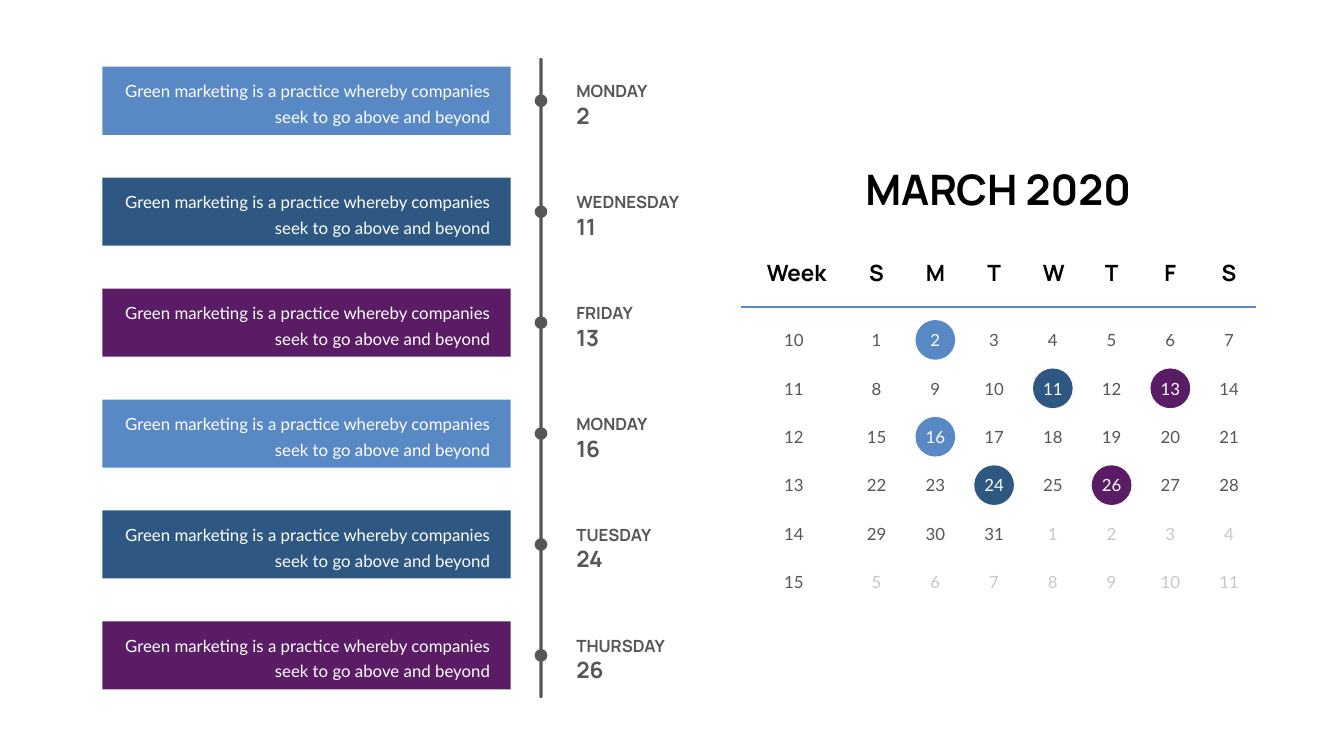
from dataclasses import dataclass

import pptx
import pptx.dml.color
import pptx.enum.shapes
import pptx.enum.text
import pptx.oxml.ns
import pptx.util
from lxml import etree
from pptx.util import Cm, Pt

SHAPE = pptx.enum.shapes.MSO_SHAPE
ALIGN = pptx.enum.text.PP_ALIGN


@dataclass(frozen=True)
class Theme:
    heading: str = "Manrope"
    body: str = "Lato"
    black: str = "000000"
    grey: str = "565656"
    pale: str = "C8C8C8"
    white: str = "FFFFFF"
    blue: str = "5889C5"
    navy: str = "2E5882"
    purple: str = "5A1C64"
    title_size: int = 60
    large_size: int = 32
    text_size: int = 24


theme = Theme()
rgb = pptx.dml.color.RGBColor.from_string

prs = pptx.Presentation()
prs.slide_width, prs.slide_height = Cm(67.72), Cm(38.1)
slide = prs.slides.add_slide(prs.slide_layouts[6])


def add_solid(kind, center_x, center_y, width, height, color):
    """Add a plain filled shape around a centre given in centimetres."""
    solid = slide.shapes.add_shape(kind, Cm(center_x - width / 2), Cm(center_y - height / 2),
                                   Cm(width), Cm(height))
    solid.shadow.inherit = False
    solid.fill.solid()
    solid.fill.fore_color.rgb = rgb(color)
    solid.line.fill.background()
    return solid


def write(shape, lines, font, color, align=ALIGN.CENTER, bold=False, wrap=False, spacing=None):
    """Fill a shape with (text, size) lines, centred vertically."""
    frame = shape.text_frame
    frame.word_wrap = wrap
    frame.vertical_anchor = pptx.enum.text.MSO_ANCHOR.MIDDLE
    frame.text = "\n".join(text for text, _ in lines)
    for paragraph, (_, size) in zip(frame.paragraphs, lines):
        paragraph.alignment = align
        if spacing:
            paragraph.line_spacing = Pt(spacing)
        for run in paragraph.runs:
            run.font.name, run.font.size, run.font.bold = font, Pt(size), bold
            run.font.color.rgb = rgb(color)


# Timeline
events = [("MONDAY", 2), ("WEDNESDAY", 11), ("FRIDAY", 13),
          ("MONDAY", 16), ("TUESDAY", 24), ("THURSDAY", 26)]
accents = [theme.blue, theme.navy, theme.purple]
day_colors = {day: accents[i % 3] for i, (_, day) in enumerate(events)}
description = "Green marketing is a practice whereby companies seek to go above and beyond"

spine_x = 27.26
spine = add_solid(SHAPE.ROUNDED_RECTANGLE, spine_x, 19.05, 0.16, 32.26, theme.grey)
spine.adjustments[0] = 0.5

for i, (weekday, day) in enumerate(events):
    event_y = 5.08 + i * 5.59
    add_solid(SHAPE.OVAL, spine_x, event_y, 0.64, 0.64, theme.grey)

    card = add_solid(SHAPE.RECTANGLE, 15.44, event_y, 20.57, 3.43, day_colors[day])
    card.text_frame.margin_left = card.text_frame.margin_right = Cm(1.04)
    write(card, [(description, theme.text_size)], theme.body, theme.white,
          ALIGN.RIGHT, wrap=True, spacing=37)

    date_label = slide.shapes.add_textbox(Cm(28.79), Cm(event_y - 1.55), Cm(6), Cm(3.1))
    write(date_label, [(weekday, theme.text_size), (str(day), theme.large_size)],
          theme.heading, theme.grey, ALIGN.LEFT, bold=True, wrap=True, spacing=40)

# Calendar heading
month = slide.shapes.add_textbox(Cm(43.13), Cm(8.1), Cm(14.33), Cm(2.82))
write(month, [("MARCH 2020", theme.title_size)], theme.heading, theme.black, bold=True)

week_x = 40
first_day_x, column_step = 44.17, 2.96
header_top, header_height = 12.93, 1.63

week_header = slide.shapes.add_textbox(Cm(38.09), Cm(header_top), Cm(3.81), Cm(header_height))
write(week_header, [("Week", theme.large_size)], theme.heading, theme.black,
      ALIGN.RIGHT, bold=True)

for column, initial in enumerate("SMTWTFS"):
    day_header = slide.shapes.add_textbox(Cm(first_day_x + column * column_step - 0.75),
                                          Cm(header_top), Cm(1.5), Cm(header_height))
    write(day_header, [(initial, theme.large_size)], theme.heading, theme.black, bold=True)

header_rule = slide.shapes.add_connector(pptx.enum.shapes.MSO_CONNECTOR.STRAIGHT,
                                         Cm(37.32), Cm(15.47), Cm(63.27), Cm(15.47))
header_rule.line.color.rgb = rgb(theme.blue)
header_rule.line.width = Pt(3)
etree.SubElement(header_rule._element.spPr, pptx.oxml.ns.qn("a:effectLst"))

# Calendar grid
days_in_month, first_week = 31, 10
for row in range(6):
    row_y = 17.13 + row * 2.44
    cells = [(week_x, first_week + row, theme.grey)]
    for column in range(7):
        index = row * 7 + column
        color = theme.grey if index < days_in_month else theme.pale
        cells.append((first_day_x + column * column_step, index % days_in_month + 1, color))

    for position, (cell_x, number, color) in enumerate(cells):
        if position > 0 and color == theme.grey and number in day_colors:
            cell = add_solid(SHAPE.OVAL, cell_x, row_y, 2, 2, day_colors[number])
            color = theme.white
        else:
            cell = slide.shapes.add_textbox(Cm(cell_x - 0.75), Cm(row_y - 0.64),
                                            Cm(1.5), Cm(1.28))
        write(cell, [(str(number), theme.text_size)], theme.body, color)

prs.save("out.pptx")
